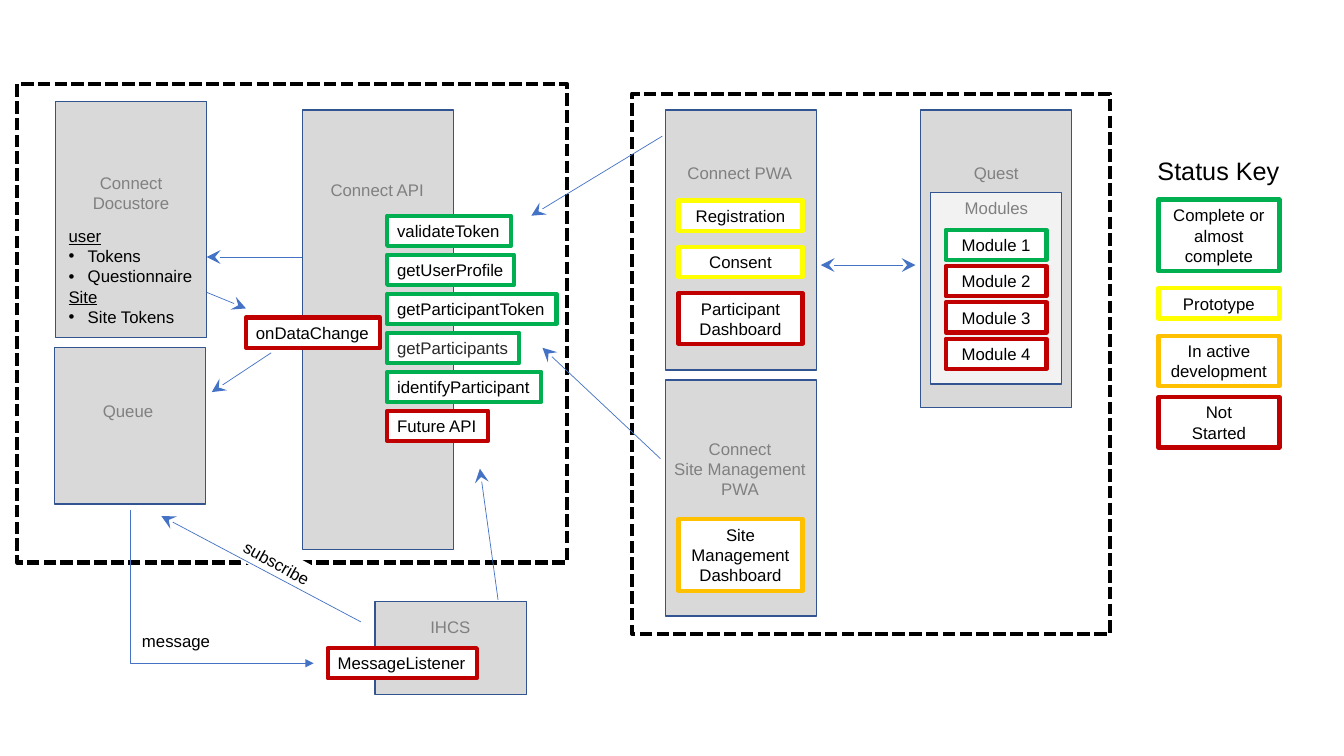
from dataclasses import dataclass
from typing import Optional

from lxml.etree import SubElement as Sub
from pptx import Presentation
from pptx.dml.color import RGBColor
from pptx.dml.fill import FillFormat as Fill
from pptx.enum.dml import MSO_LINE as Dash
from pptx.enum.shapes import MSO_CONNECTOR as Link, MSO_SHAPE as Kind
from pptx.enum.text import MSO_ANCHOR as Anchor, MSO_AUTO_SIZE as Fit, PP_ALIGN as Align
from pptx.oxml.ns import qn
from pptx.shapes.base import BaseShape as Shape
from pptx.slide import Slide
from pptx.text.text import TextFrame as Frame
from pptx.util import Inches, Pt

BLACK, WHITE, GRAY = "000000", "FFFFFF", "808080"
PANEL, INNER, EDGE, BLUE = "D9D9D9", "F2F2F2", "325491", "4472C4"
DONE, DRAFT, BUSY, TODO = "00B050", "FFFF00", "FFC000", "C00000"


@dataclass
class Box:
    left: float
    top: float
    width: float
    height: float
    fill: Optional[str] = PANEL
    line: Optional[str] = EDGE
    weight: float = 1
    dash: bool = False
    turn: float = 0


@dataclass
class Label:
    left: float
    top: float
    width: float
    height: float
    text: str
    color: str = GRAY
    center: bool = False


@dataclass
class Tag:
    left: float
    top: float
    width: float
    height: float
    text: str
    line: Optional[str]
    center: bool = True
    color: str = BLACK
    turn: float = 0


@dataclass
class Arrow:
    start: tuple[float, float]
    end: tuple[float, float]
    both: bool = False
    bent: bool = False


PANELS = [
    Box(0.55, 1.01, 1.5, 2.34),
    Box(0.54, 3.45, 1.5, 1.55),
    Box(3, 1.09, 1.5, 4.36),
    Box(3.72, 5.97, 1.5, 0.92),
    Box(6.6, 1.09, 1.5, 2.58),
    Box(6.6, 3.77, 1.5, 2.34),
    Box(9.13, 1.09, 1.5, 2.95),
    Box(9.23, 1.91, 1.3, 1.9, INNER),
    Box(0.17, 0.83, 5.45, 4.75, None, BLACK, 3, True),
    Box(6.27, 0.93, 4.74, 5.36, None, BLACK, 3, True),
]

LABELS = [
    Label(0.73, 1.66, 1.14, 0.5, "Connect Docustore", center=True),
    Label(0.7, 3.93, 1.14, 0.3, "Queue", center=True),
    Label(3.18, 1.73, 1.14, 0.3, "Connect API"),
    Label(4.17, 6.07, 0.6, 0.3, "IHCS"),
    Label(6.72, 1.57, 1.25, 0.3, "Connect PWA"),
    Label(6.56, 4.3, 1.56, 0.71, "Connect\nSite Management\nPWA", center=True),
    Label(9.56, 1.57, 0.65, 0.3, "Quest"),
    Label(9.47, 1.91, 0.83, 0.3, "Modules"),
    Label(1.31, 6.21, 0.88, 0.3, "message", BLACK),
]

CALLS = [
    ("validateToken", 1.23, DONE, BLACK),
    ("getUserProfile", 1.26, DONE, BLACK),
    ("getParticipantToken", 1.68, DONE, BLACK),
    ("getParticipants", 1.31, DONE, "282828"),
    ("identifyParticipant", 1.53, DONE, BLACK),
    ("Future API", 1, TODO, BLACK),
]

TAGS = [
    *(Tag(3.84, 2.14 + 0.387 * row, width, 0.3, name, line, False, color)
      for row, (name, width, line, color) in enumerate(CALLS)),
    *(Tag(9.38, 2.28 + 0.36 * row, 1, 0.3, f"Module {row + 1}", DONE if row == 0 else TODO)
      for row in range(4)),
    Tag(6.73, 1.99, 1.23, 0.3, "Registration", DRAFT),
    Tag(6.73, 2.45, 1.23, 0.3, "Consent", DRAFT),
    Tag(6.73, 2.91, 1.23, 0.5, "Participant Dashboard", TODO),
    Tag(6.73, 5.15, 1.23, 0.71, "Site Management Dashboard", BUSY),
    Tag(11.49, 1.98, 1.2, 0.71, "Complete or almost complete", DONE),
    Tag(11.49, 2.86, 1.2, 0.3, "Prototype", DRAFT),
    Tag(11.49, 3.33, 1.2, 0.5, "In active development", BUSY),
    Tag(11.49, 3.94, 1.2, 0.5, "Not\nStarted", TODO),
    Tag(2.44, 3.15, 1.33, 0.3, "onDataChange", TODO, False),
    Tag(3.25, 6.43, 1.48, 0.3, "MessageListener", TODO, False),
    Tag(2.29, 5.44, 0.92, 0.3, "subscribe", None, False, turn=29.1),
]

ARROWS = [
    Arrow((3, 2.55), (2.05, 2.55)),
    Arrow((9.08, 2.63), (8.14, 2.63), both=True),
    Arrow((6.57, 1.35), (5.27, 2.14)),
    Arrow((6.55, 4.55), (5.38, 3.45)),
    Arrow((4.94, 5.95), (4.76, 4.65)),
    Arrow((2.05, 2.9), (2.44, 3.06)),
    Arrow((2.69, 3.5), (2.1, 3.89)),
    Arrow((1.29, 5.06), (3.11, 6.58), bent=True),
    Arrow((3.58, 6.17), (1.6, 5.12)),
]

STORE = [("user", False), ("Tokens", True), ("Questionnaire", True),
         ("Site", False), ("Site Tokens", True)]


def paint(fill: Fill, color: Optional[str]) -> None:
    if color is None:
        fill.background()
    else:
        fill.solid()
        fill.fore_color.rgb = RGBColor.from_string(color)


def place(shape: Shape, left: float, top: float, width: float, height: float) -> None:
    shape.left, shape.top = Inches(left), Inches(top)
    shape.width, shape.height = Inches(width), Inches(height)


def write(frame: Frame, text: str, color: str, center: bool, size: int = 12) -> None:
    frame.auto_size = Fit.NONE
    frame.word_wrap = center
    for row, line in enumerate(text.split("\n")):
        para = frame.add_paragraph() if row else frame.paragraphs[0]
        para.alignment = Align.CENTER if center else Align.LEFT
        run = para.add_run()
        run.text = line
        run.font.name, run.font.size = "Arial", Pt(size)
        paint(run.font.fill, color)


def draw_box(slide: Slide, box: Box) -> Shape:
    shape = slide.shapes.add_shape(Kind.RECTANGLE, 0, 0, 0, 0)
    place(shape, box.left, box.top, box.width, box.height)
    shape.shadow.inherit = False
    shape.rotation = box.turn
    paint(shape.fill, box.fill)
    paint(shape.line.fill, box.line)
    shape.line.width = Pt(box.weight)
    if box.dash:
        shape.line.dash_style = Dash.SQUARE_DOT
    return shape


def draw_tag(slide: Slide, tag: Tag) -> None:
    shape = draw_box(slide, Box(tag.left, tag.top, tag.width, tag.height,
                                WHITE, tag.line, 3, turn=tag.turn))
    write(shape.text_frame, tag.text, tag.color, tag.center)


def draw_label(slide: Slide, label: Label) -> None:
    shape = slide.shapes.add_textbox(0, 0, 0, 0)
    place(shape, label.left, label.top, label.width, label.height)
    write(shape.text_frame, label.text, label.color, label.center)


def draw_arrow(slide: Slide, arrow: Arrow) -> None:
    link = slide.shapes.add_connector(Link.ELBOW if arrow.bent else Link.STRAIGHT,
                                      *map(Inches, arrow.start + arrow.end))
    paint(link.line.fill, BLUE)
    link.line.width = Pt(0.5)
    props = link.element.spPr
    stroke = props.find(qn("a:ln"))
    kind, size = ("triangle", "med") if arrow.bent else ("stealth", "lg")
    for end in ("a:headEnd", "a:tailEnd") if arrow.both else ("a:tailEnd",):
        Sub(stroke, qn(end), type=kind, w=size, len=size)
    Sub(props, qn("a:effectLst"))
    if arrow.bent:
        guides = props.find(qn("a:prstGeom")).get_or_add_avLst()
        Sub(guides, qn("a:gd"), name="adj1", fmla="val 100")


def draw_store(slide: Slide, body: Shape) -> None:
    place(body, 0.58, 2.19, 1.43, 1.51)
    frame = body.text_frame
    frame.auto_size, frame.word_wrap = Fit.NONE, False
    frame.vertical_anchor = Anchor.TOP
    for row, (text, item) in enumerate(STORE):
        para = frame.add_paragraph() if row else frame.paragraphs[0]
        props = para._p.get_or_add_pPr()
        indent = Inches(0.19) if item else 0
        props.set("marL", str(indent))
        props.set("indent", str(-indent))
        if item:
            Sub(props, qn("a:buChar"), char="•")
        else:
            Sub(props, qn("a:buNone"))
        para.space_before = Pt(0)
        run = para.add_run()
        run.text = text
        run.font.name, run.font.size = "Arial", Pt(12)
        run.font.underline = not item
        paint(run.font.fill, BLACK)
    slide.shapes.element.append(body.element)


def main() -> None:
    deck = Presentation()
    deck.slide_width, deck.slide_height = Inches(13.33), Inches(7.5)
    slide = deck.slides.add_slide(deck.slide_layouts[1])
    title, body = slide.placeholders
    place(title, 11.38, 1.49, 1.42, 0.4)
    write(title.text_frame, "Status Key", BLACK, False, 18)
    for box in PANELS:
        draw_box(slide, box)
    for label in LABELS:
        draw_label(slide, label)
    for tag in TAGS:
        draw_tag(slide, tag)
    for arrow in ARROWS:
        draw_arrow(slide, arrow)
    draw_store(slide, body)
    deck.save("out.pptx")


if __name__ == "__main__":
    main()
